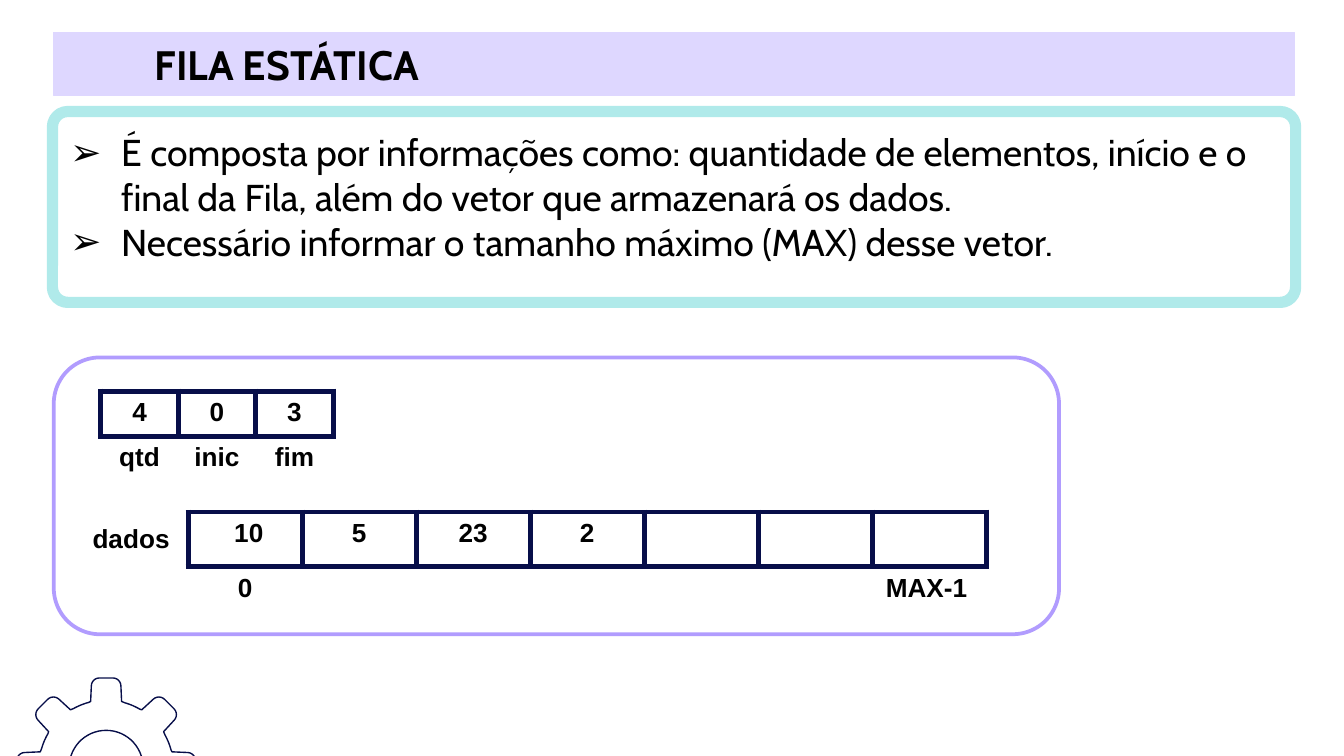
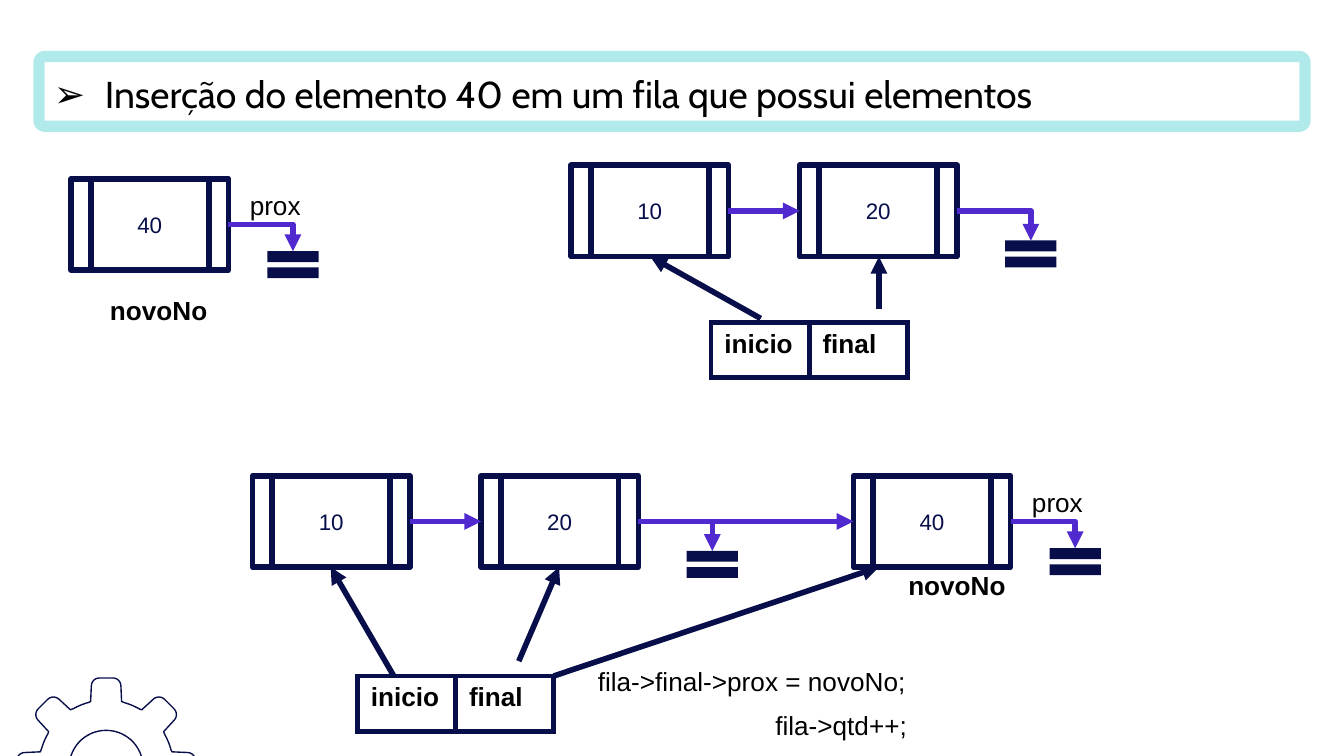
from math import cos, radians, sin

from lxml.etree import SubElement
from pptx import Presentation
from pptx.dml.color import RGBColor
from pptx.enum.shapes import MSO_CONNECTOR, MSO_SHAPE
from pptx.enum.text import MSO_ANCHOR, MSO_AUTO_SIZE, PP_ALIGN
from pptx.oxml import parse_xml
from pptx.oxml.ns import nsdecls, qn
from pptx.util import Pt

PX = 9144
HUES = {
    "navy": "070E49",
    "violet": "502ACF",
    "lilac": "B19CFE",
    "band": "DED7FF",
    "aqua": "B0EAEA",
    "white": "FFFFFF",
    "black": "000000",
}
LEFT, CENTER = PP_ALIGN.LEFT, PP_ALIGN.CENTER
NODE_W, NODE_H = 117, 68


def emu(*sizes):
    return [round(size * PX) for size in sizes]


def hue(name):
    return RGBColor.from_string(HUES[name])


class Deck:
    def __init__(self):
        self.show = Presentation()
        self.show.slide_width = 1000 * PX
        self.show.slide_height = 1000 * PX * 9 // 16
        self.slide = None

    def page(self, layout):
        self.slide = self.show.slides.add_slide(
            self.show.slide_layouts.get_by_name(layout))

    def style(self, frame, size, color="black", bold=False, font="Arial", align=LEFT):
        for par in frame.paragraphs:
            par.alignment = align
            for run in par.runs:
                run.font.size = Pt(size)
                run.font.name = font
                run.font.bold = bold
                run.font.color.rgb = hue(color)

    def paint(self, shape, fill=None, line=None, width=3):
        if fill:
            shape.fill.solid()
            shape.fill.fore_color.rgb = hue(fill)
        else:
            shape.fill.background()
        if line:
            shape.line.color.rgb = hue(line)
            shape.line.width = Pt(width)
        else:
            shape.line.fill.background()

    def shape(self, kind, box, fill=None, line=None, width=3):
        shape = self.slide.shapes.add_shape(kind, *emu(*box))
        shape.shadow.inherit = False
        self.paint(shape, fill, line, width)
        return shape

    def title(self, text, box):
        title = self.slide.shapes.title
        title.left, title.top, title.width, title.height = emu(*box)
        self.paint(title, "band", "band", 0.75)
        frame = title.text_frame
        frame.text = text
        frame.auto_size = MSO_AUTO_SIZE.NONE
        frame.vertical_anchor = MSO_ANCHOR.MIDDLE
        self.style(frame, 22, bold=True, font="Cabin")
        props = frame.paragraphs[0]._p.get_or_add_pPr()
        props.set("marL", str(65 * PX))
        props.set("indent", "0")

    def points(self, lines, box):
        card = self.shape(MSO_SHAPE.ROUNDED_RECTANGLE, box, line="aqua", width=6)
        card.adjustments[0] = 0.08
        frame = card.text_frame
        frame.text = "\n".join(lines)
        frame.vertical_anchor = MSO_ANCHOR.TOP
        frame.margin_top = frame.margin_bottom = 10 * PX
        self.style(frame, 20, font="Cabin")
        for par in frame.paragraphs:
            props = par._p.get_or_add_pPr()
            props.set("marL", str(38 * PX))
            props.set("indent", str(-38 * PX))
            SubElement(props, qn("a:buFont"), typeface="Cabin")
            SubElement(props, qn("a:buChar"), char="➢")

    def label(self, text, box, bold=False):
        frame = self.slide.shapes.add_textbox(*emu(*box)).text_frame
        frame.text = text
        frame.word_wrap = False
        frame.auto_size = MSO_AUTO_SIZE.SHAPE_TO_FIT_TEXT
        self.style(frame, 14, bold=bold)

    def edge(self, cell, sides):
        props = cell._tc.get_or_add_tcPr()
        for spot, side in enumerate("LRTB"):
            ink = (f'<a:solidFill><a:srgbClr val="{HUES["navy"]}"/></a:solidFill>'
                   if side in sides else "<a:noFill/>")
            props.insert(spot, parse_xml(
                f'<a:ln{side} {nsdecls("a")} w="{Pt(3)}">{ink}</a:ln{side}>'))

    def table(self, rows, box, align=CENTER):
        x, y, wide, high = emu(*box)
        count = len(rows[0])
        grid = self.slide.shapes.add_table(
            len(rows), count, x, y, wide, high).table
        grid.first_row = grid.horz_banding = False
        for col in grid.columns:
            col.width = wide // count
        for r, texts in enumerate(rows):
            grid.rows[r].height = high // len(rows)
            for c, text in enumerate(texts):
                cell = grid.cell(r, c)
                cell.text = text
                cell.fill.background()
                self.style(cell.text_frame, 14, bold=True, align=align)
                self.edge(cell, "T" if r else "LRTB")
        return grid

    def arrow(self, start, end, color="navy", bent=False):
        kind = MSO_CONNECTOR.ELBOW if bent else MSO_CONNECTOR.STRAIGHT
        link = self.slide.shapes.add_connector(kind, *emu(*start, *end))
        link.line.color.rgb = hue(color)
        link.line.width = Pt(3)
        props = link.element.spPr
        if bent:
            props.find(qn("a:prstGeom")).set("prst", "bentConnector2")
        SubElement(props.find(qn("a:ln")), qn("a:tailEnd"), type="triangle")
        SubElement(props, qn("a:effectLst"))

    def node(self, text, x, y):
        node = self.shape(MSO_SHAPE.FLOWCHART_PREDEFINED_PROCESS,
                          (x, y, NODE_W, NODE_H), "white", "navy")
        node.text_frame.text = text
        node.text_frame.vertical_anchor = MSO_ANCHOR.MIDDLE
        self.style(node.text_frame, 12, "navy", align=CENTER)

    def null(self, x, y, dx, dy):
        self.arrow((x, y), (x + dx, y + dy), "violet", bent=True)
        self.shape(MSO_SHAPE.MATH_EQUAL, (x + dx - 26, y + dy - 7, 52, 34), "navy")

    def pair(self, x, y):
        mid, step = y + NODE_H // 2, 170
        self.node("10", x, y)
        self.node("20", x + step, y)
        self.arrow((x + NODE_W, mid), (x + step, mid), "violet")
        self.null(x + step + NODE_W, mid, 55, 22)

    def fresh(self, x, y):
        self.node("40", x, y)
        self.null(x + NODE_W, y + NODE_H // 2, 48, 20)
        self.label("prox", (x + 123, y + 3, 58, 34))

    def ends(self, x, y):
        self.table([["inicio", "final"]], (x, y, 146, 41), LEFT)

    def gear(self, x, y):
        def spot(turn, far, side=0):
            a = radians(turn)
            return emu(x + far * cos(a) - side * sin(a),
                       y + far * sin(a) + side * cos(a))

        bend = [(60.5 + 6 * sin(radians(t)), 5 + 6 * cos(radians(t)))
                for t in range(0, 91, 15)]
        tooth = [(far, -side) for far, side in bend] + bend[::-1]
        rim = []
        for turn in range(0, 360, 45):
            rim.append(spot(turn, 49, -11.5))
            rim += [spot(turn, far, side) for far, side in tooth]
            rim.append(spot(turn, 49, 11.5))
            rim += [spot(turn + step, 50) for step in range(16, 31, 2)]
        hole = [spot(turn, 27.5) for turn in range(0, 360, 6)]
        pen = self.slide.shapes.build_freeform(*rim[0], scale=1.0)
        pen.add_line_segments(rim[1:])
        pen.move_to(*hole[0])
        pen.add_line_segments(hole[1:])
        gear = pen.convert_to_shape()
        gear.shadow.inherit = False
        self.paint(gear, line="navy", width=0.75)
        gear.element.nvSpPr.cNvPr.set("id", "20")
        self.show.slide_master.shapes.element.append(gear.element)


def fields(deck):
    deck.page("Title Only")
    deck.gear(79, 571)
    deck.shape(MSO_SHAPE.ROUNDED_RECTANGLE, (40, 266, 748, 206), line="lilac", width=2)
    deck.title("FILA ESTÁTICA", (40, 24, 923, 47))
    deck.points([
        "É composta por informações como: quantidade de elementos, início e o "
        "final da Fila, além do vetor que armazenará os dados.",
        "Necessário informar o tamanho máximo (MAX) desse vetor.",
    ], (39, 83, 925, 142))
    deck.table([["4", "0", "3"], ["qtd", "inic", "fim"]], (75, 291, 173, 67))
    data = deck.table([
        [" 10", "5", "23", "2", "", "", ""],
        ["0", "", "", "", "", "", "MAX-1"],
    ], (140, 381, 594, 81))
    data.cell(1, 6).text_frame.paragraphs[0].alignment = LEFT
    deck.label("dados", (59, 384, 78, 34), bold=True)


def insert(deck):
    deck.page("Blank")
    deck.points(["Inserção do elemento 40 em um fila que possui elementos"],
                (29, 42, 942, 52))
    deck.fresh(53, 133)
    deck.label("novoNo", (72, 214, 93, 34), bold=True)

    deck.pair(425, 123)
    deck.ends(529, 240)
    deck.arrow((566, 237), (484, 191))
    deck.arrow((654, 230), (654, 191))

    deck.pair(188, 354)
    deck.fresh(635, 354)
    deck.label("novoNo", (666, 419, 93, 34), bold=True)
    deck.arrow((475, 388), (635, 388), "violet")
    deck.ends(266, 503)
    deck.arrow((293, 503), (246, 422))
    deck.arrow((386, 492), (416, 422))
    deck.arrow((412, 503), (654, 422))
    deck.label("fila->final->prox = novoNo;", (435, 490, 250, 34))
    deck.label("fila->qtd++;", (567, 523, 119, 34))


def main():
    deck = Deck()
    fields(deck)
    insert(deck)
    deck.show.save("out.pptx")


if __name__ == "__main__":
    main()
